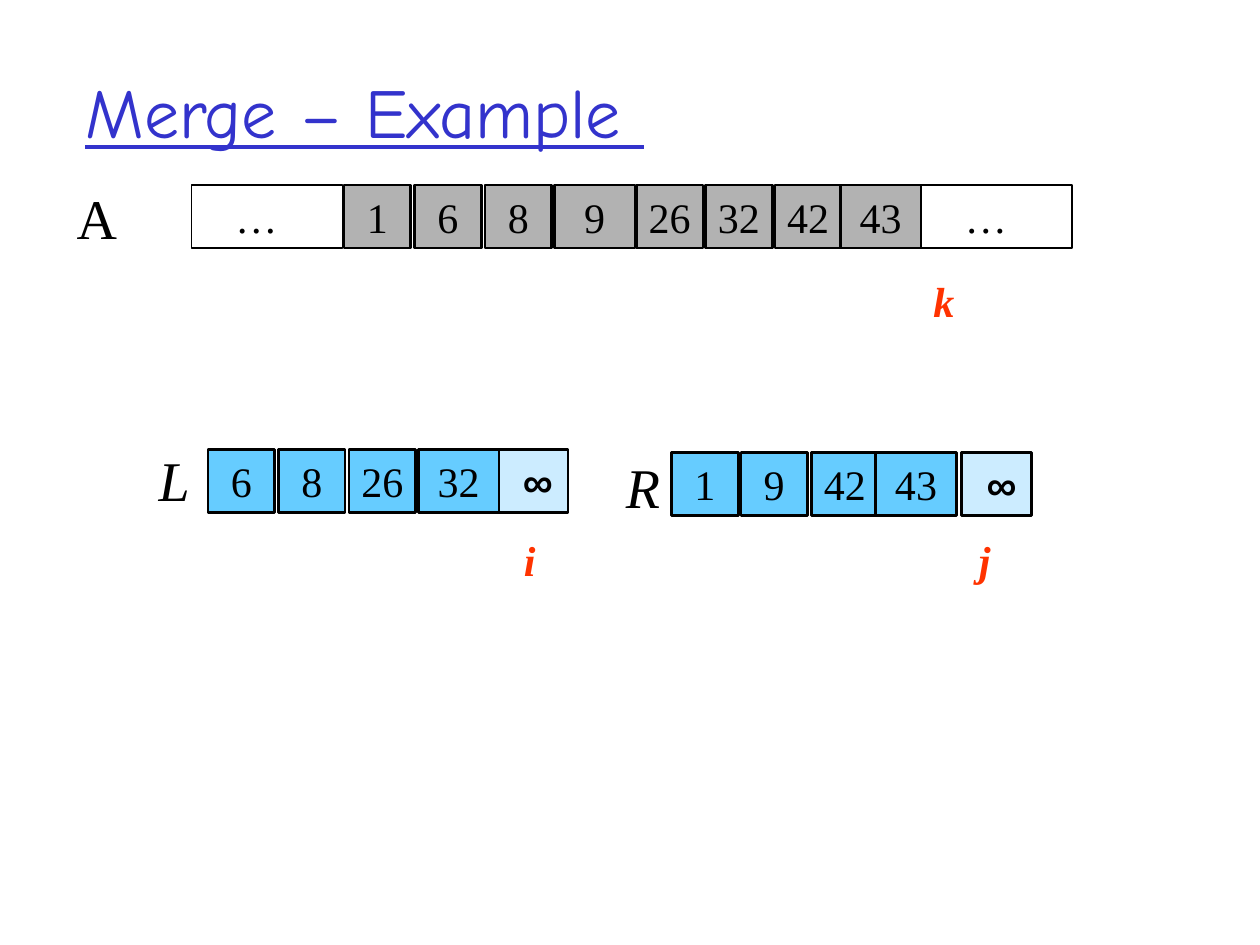
import pptx
import pptx.dml.color
import pptx.enum.shapes
import pptx.enum.text
import pptx.util

Inches, Pt = pptx.util.Inches, pptx.util.Pt
LEFT = pptx.enum.text.PP_ALIGN.LEFT
CENTER = pptx.enum.text.PP_ALIGN.CENTER

# Content
TITLE = "Merge – Example "
SERIF = "Times New Roman"
BLACK, RED, WHITE = "000000", "FF3300", "FFFFFF"
GREY, BLUE, PALE = "B2B2B2", "66CCFF", "CCECFF"
CELL_HEIGHT, NARROW, MIDDLE, WIDE = 0.5, 0.53, 0.56, 0.64

# Array rows: top, fill, then (value, left) pairs, and the value in the wide cell
ARRAYS = [
    (1.47, GREY, [("1", 2.73), ("6", 3.29), ("8", 3.85), ("9", 4.4), ("26", 5.05),
                  ("32", 5.6), ("42", 6.15), ("43", 6.67)], ("9", "43")),
    (3.57, BLUE, [("6", 1.65), ("8", 2.21), ("26", 2.77), ("32", 3.32)], ("32",)),
    (3.59, BLUE, [("1", 5.33), ("9", 5.88), ("42", 6.44), ("43", 6.95)], ("43",)),
]
SENTINELS = [(3.95, 3.57), (7.63, 3.59)]
REST_OF_ARRAY = [(1.52, 1.47), (7.31, 1.47)]
# Array names: text, box, italic
NAMES = [
    ("A", (0.51, 1.41, 0.52, 0.64), False),
    ("L", (1.16, 3.49, 0.45, 0.64), True),
    ("R", (4.87, 3.54, 0.47, 0.64), True),
]
# Index markers: text, strip under the array, indent within the strip
INDEXES = [
    ("i", (1.81, 4.19, 2.79, 0.5), 2.25),
    ("j", (5.17, 4.19, 3.01, 0.5), 2.5),
    ("k", (2.56, 2.14, 5.86, 0.9), 4.75),
]

deck = pptx.Presentation()
deck.slide_width, deck.slide_height = Inches(10), Inches(7.5)
slide = deck.slides.add_slide(deck.slide_layouts[6])


def color(hex_value):
    return pptx.dml.color.RGBColor.from_string(hex_value)


def write(shape, text, size=24, name=SERIF, ink=BLACK, bold=False, italic=False,
          underline=False, align=LEFT, indent=0, wrap=True,
          anchor=pptx.enum.text.MSO_ANCHOR.TOP):
    frame = shape.text_frame
    frame.word_wrap, frame.vertical_anchor = wrap, anchor
    paragraph = frame.paragraphs[0]
    paragraph.text, paragraph.alignment = text, align
    if indent:
        properties = paragraph._p.get_or_add_pPr()
        properties.set("marL", str(Inches(indent)))
        properties.set("indent", "0")
    font = paragraph.font
    font.size, font.name, font.color.rgb = Pt(size), name, color(ink)
    font.bold, font.italic, font.underline = bold, italic, underline


def add_text(box, text, **style):
    write(slide.shapes.add_textbox(*map(Inches, box)), text, **style)


def add_box(box, text, fill=None, line=None, **style):
    shape = slide.shapes.add_shape(
        pptx.enum.shapes.MSO_SHAPE.RECTANGLE, *map(Inches, box))
    shape.shadow.inherit = False
    if fill:
        shape.fill.solid()
        shape.fill.fore_color.rgb = color(fill)
    else:
        shape.fill.background()
    if line:
        shape.line.color.rgb, shape.line.width = color(BLACK), Pt(line)
    else:
        shape.line.fill.background()
    write(shape, text, **style)


# Title
add_text((0.58, 0.25, 8.5, 1.25), TITLE, size=40, name="Comic Neue", ink="3333CC",
         underline=True, anchor=pptx.enum.text.MSO_ANCHOR.MIDDLE)

# Index strips
for text, box, indent in INDEXES:
    add_box(box, text, WHITE, ink=RED, bold=True, italic=True, indent=indent)

# Open ends of array A
for left, top in REST_OF_ARRAY:
    add_box((left, top, 1.2, CELL_HEIGHT), "…", line=1, indent=0.25)

# Sentinels of L and R
for left, top in SENTINELS:
    add_box((left, top, MIDDLE, CELL_HEIGHT), "∞", PALE, 1.5, name="Arial",
            bold=True, align=CENTER, indent=0.08)

# Array cells
for top, fill, cells, wide_values in ARRAYS:
    for value, left in cells:
        width = WIDE if value in wide_values else NARROW
        add_box((left, top, width, CELL_HEIGHT), value, fill, 1.5,
                align=CENTER, wrap=False)

# Array names
for text, box, italic in NAMES:
    add_text(box, text, size=32, italic=italic, wrap=False)

deck.save("out.pptx")
